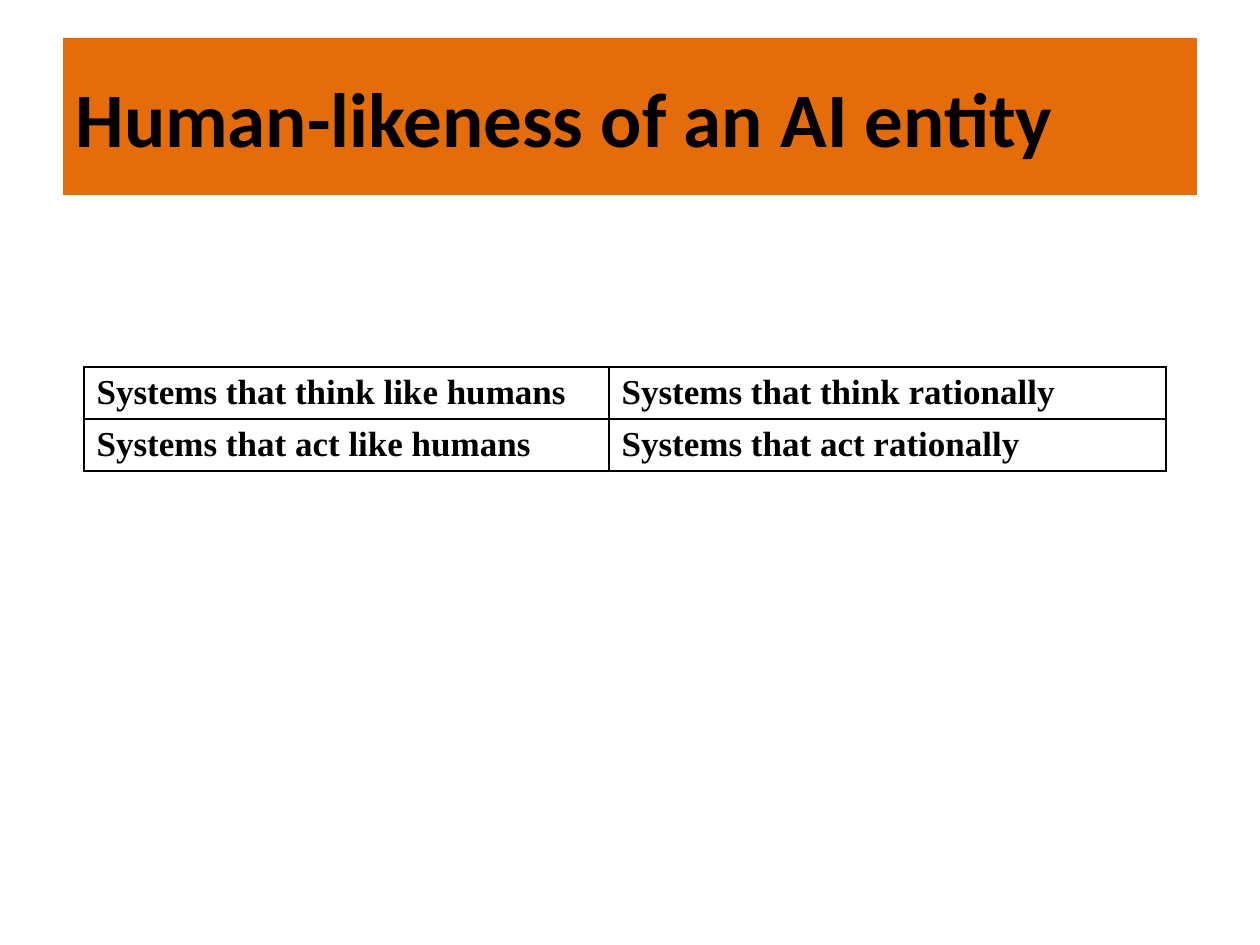
from lxml import etree
from pptx import Presentation
from pptx.dml.color import RGBColor
from pptx.enum.text import MSO_ANCHOR, PP_ALIGN
from pptx.oxml.ns import qn
from pptx.util import Pt

PX = 914400 // 126
MIDDLE = MSO_ANCHOR.MIDDLE
LEFT = PP_ALIGN.LEFT
BORDER_SIDES = ("a:lnL", "a:lnR", "a:lnT", "a:lnB")
TITLE_ONLY = 5


def color(hex_string):
    return RGBColor.from_string(hex_string)


def add_borders(cell, hex_string, width):
    """Put a solid line on all four sides; call before filling the cell."""
    properties = cell._tc.get_or_add_tcPr()
    for side in BORDER_SIDES:
        line = etree.SubElement(properties, qn(side), w=str(width))
        fill = etree.SubElement(line, qn("a:solidFill"))
        etree.SubElement(fill, qn("a:srgbClr"), val=hex_string)


presentation = Presentation()
presentation.slide_width = 1260 * PX
presentation.slide_height = 945 * PX
slide = presentation.slides.add_slide(presentation.slide_layouts[TITLE_ONLY])

# Title band
title = slide.shapes.title
title.left, title.top, title.width, title.height = 63 * PX, 38 * PX, 1134 * PX, 157 * PX
title.fill.solid()
title.fill.fore_color.rgb = color("E46C0A")
title.text_frame.text = "Human-likeness of an AI entity"
title.text_frame.vertical_anchor = MIDDLE
paragraph = title.text_frame.paragraphs[0]
paragraph.alignment = LEFT
paragraph.font.name = "Calibri"
paragraph.font.size = Pt(44)
paragraph.font.bold = True
paragraph.font.color.rgb = color("000000")

# Table of system kinds
system_kinds = [
    ["Systems that think like humans", "Systems that think rationally"],
    ["Systems that act like humans", "Systems that act rationally"],
]
column_widths = [525, 557]
row_height = 52
table = slide.shapes.add_table(
    len(system_kinds), len(column_widths), 84 * PX, 367 * PX,
    sum(column_widths) * PX, len(system_kinds) * row_height * PX,
).table
for column, width in zip(table.columns, column_widths):
    column.width = width * PX

for row_index, row in enumerate(system_kinds):
    for column_index, text in enumerate(row):
        cell = table.cell(row_index, column_index)
        add_borders(cell, "000000", Pt(1))
        cell.fill.background()
        cell.text = text
        paragraph = cell.text_frame.paragraphs[0]
        paragraph.font.name = "Times New Roman"
        paragraph.font.size = Pt(20)
        paragraph.font.bold = True
        paragraph.font.color.rgb = color("000000")

presentation.save("out.pptx")
